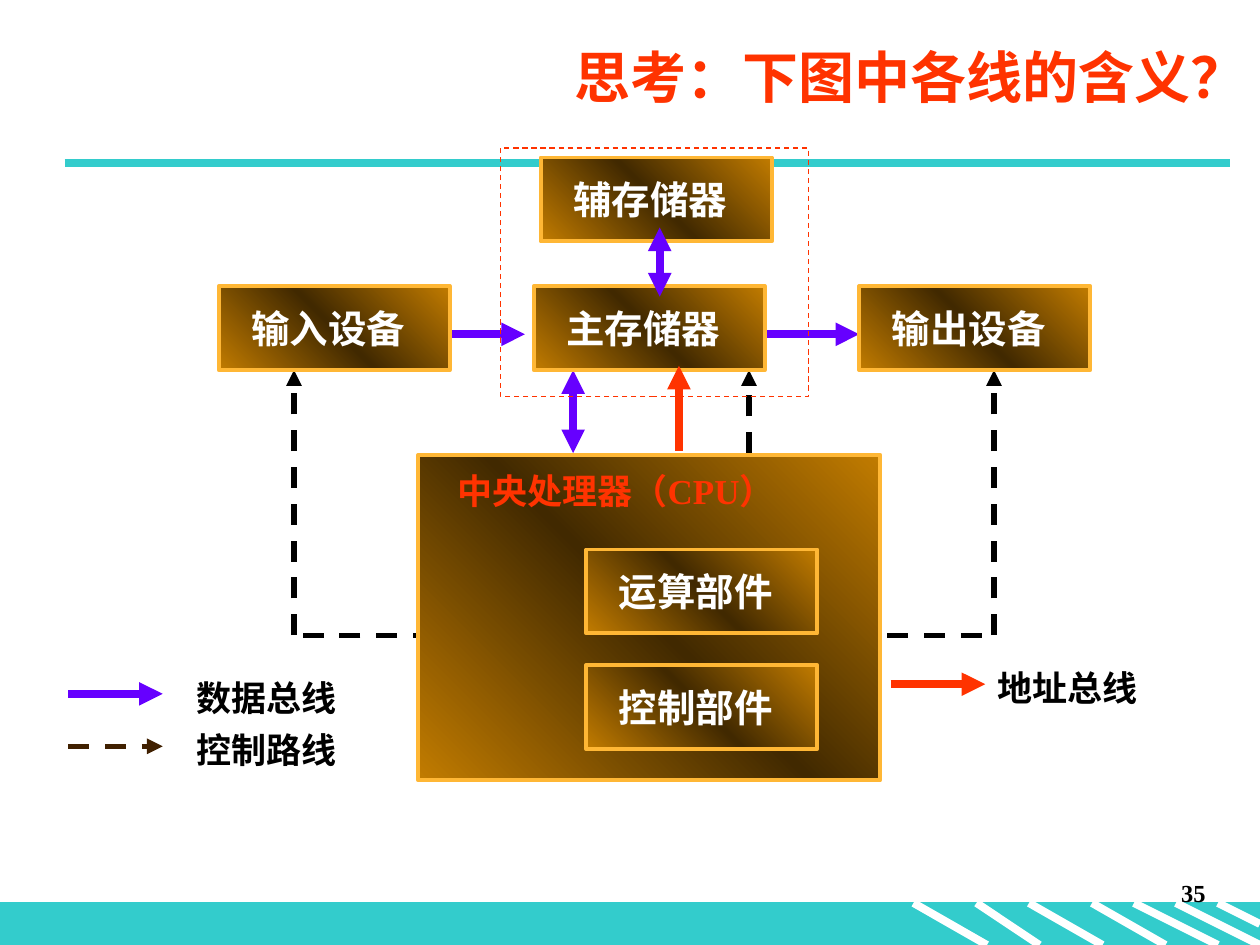
from lxml import etree
from pptx import Presentation
from pptx import util as u
from pptx.dml.color import RGBColor
from pptx.enum import dml, shapes, text
from pptx.oxml import ns

Pt = u.Pt
COLORS = {
    "teal": "33CCCC", "white": "FFFFFF", "black": "000000", "red": "FF3300",
    "data": "6600FF", "brown": "402000", "gold": "FFB735",
    "amber": "C27C00", "umber": "412900",
}
SERIF, SANS = "Times New Roman", "Noto Sans CJK SC"
UNIT_W, UNIT_H = 132, 48


def rgb(name):
    return RGBColor.from_string(COLORS[name])


def add_xml(parent, tag, **attributes):
    return etree.SubElement(parent, ns.qn(tag), **attributes)


def write(frame, words, size=20, color="black", font=SERIF,
          align=text.PP_ALIGN.LEFT, anchor=text.MSO_ANCHOR.TOP):
    frame.word_wrap = True
    frame.vertical_anchor = anchor
    paragraph = frame.paragraphs[0]
    paragraph.alignment = align
    run = paragraph.add_run()
    run.text = words
    run.font.size, run.font.bold, run.font.name = Pt(size), True, font
    run.font.color.rgb = rgb(color)
    add_xml(run.font._element, "a:ea", typeface=SANS)


def add_label(slide, box, words, **style):
    label = slide.shapes.add_textbox(*map(Pt, box))
    write(label.text_frame, words, **style)


def add_line(slide, start, end, color, width=4.5, dashed=False, heads=("tailEnd",)):
    line = slide.shapes.add_connector(
        shapes.MSO_CONNECTOR.STRAIGHT, *map(Pt, (*start, *end)))
    line.line.color.rgb = rgb(color)
    line.line.width = Pt(width)
    if dashed:
        line.line.dash_style = dml.MSO_LINE.DASH
    for head in heads:
        add_xml(line.line._get_or_add_ln(), f"a:{head}", type="triangle")
    add_xml(line._element.spPr, "a:effectLst")


def add_rect(slide, box, line_color, line_width):
    rect = slide.shapes.add_shape(shapes.MSO_SHAPE.RECTANGLE, *map(Pt, box))
    rect.shadow.inherit = False
    rect.line.color.rgb = rgb(line_color)
    rect.line.width = Pt(line_width)
    return rect


def add_panel(slide, box):
    """Gold-edged box with an amber, umber, amber gradient."""
    panel = add_rect(slide, box, "gold", 2.25)
    panel.fill.gradient()
    panel.fill.gradient_angle = 45
    stops = panel._element.spPr.find(ns.qn("a:gradFill")).find(ns.qn("a:gsLst"))
    for stop in list(stops):
        stops.remove(stop)
    for position, color in ((0, "amber"), (50000, "umber"), (100000, "amber")):
        stop = add_xml(stops, "a:gs", pos=str(position))
        add_xml(stop, "a:srgbClr", val=COLORS[color])
    return panel


def add_unit(slide, left, top, words):
    frame = add_panel(slide, (left, top, UNIT_W, UNIT_H)).text_frame
    frame.margin_left, frame.margin_right = Pt(7), Pt(14)
    write(frame, words, size=22, color="white",
          align=text.PP_ALIGN.CENTER, anchor=text.MSO_ANCHOR.MIDDLE)


def add_header(slide, left, top, width, height):
    title = slide.shapes.title
    title.left, title.top, title.width, title.height = map(Pt, (left, top, width, height))
    write(title.text_frame, "思考：下图中各线的含义？", size=32, color="red",
          align=text.PP_ALIGN.RIGHT, anchor=text.MSO_ANCHOR.MIDDLE)
    rule_y = top + height + 21
    add_line(slide, (left - 71, rule_y), (left + 595, rule_y), "teal", heads=())


def add_footer(slide, left, top, width, height):
    band = add_rect(slide, (left, top, width, height), "teal", 0.75)
    band.fill.solid()
    band.fill.fore_color.rgb = rgb("teal")
    # Slanted stripes: start, run, drop
    for start, run, drop in ((522, 42, 24), (558, 36, 24), (588, 42, 24), (624, 42, 24),
                             (648, 48, 24), (672, 48, 24), (696, 24, 12)):
        add_line(slide, (left + start, top), (left + start + run, top + drop),
                 "white", heads=())
    add_label(slide, (left + 546, top - 18, 150, 36), "35", size=14,
              align=text.PP_ALIGN.RIGHT)


def add_cpu(slide, left, top, width, height):
    add_panel(slide, (left, top, width, height))
    add_label(slide, (left + 12, top + 5, 202, 31), "中央处理器（CPU）",
              color="red", align=text.PP_ALIGN.CENTER)
    for row, words in enumerate(("运算部件", "控制部件")):
        add_unit(slide, left + 96, top + 54 + 66 * row, words)


def add_diagram(slide, left, top):
    def at(x, y):
        return left + x, top + y

    both = ("headEnd", "tailEnd")
    device_y, cpu_y, control_y = 79, 175.5, 278.5
    device_bottom = device_y + UNIT_H
    data_y = device_y + 27.5
    # Data bus between devices and main memory
    add_line(slide, at(132, data_y), at(175, data_y), "data")
    add_line(slide, at(311, data_y), at(366, data_y), "data")
    # Control routes from the CPU to both devices
    for cpu_x, device_x in ((123, 43), (382, 443)):
        add_line(slide, at(cpu_x, control_y), at(device_x, control_y), "black",
                 width=3, dashed=True, heads=())
        add_line(slide, at(device_x, control_y), at(device_x, device_bottom), "black",
                 width=3, dashed=True)
    # CPU to main memory: data and control
    add_line(slide, at(202.5, cpu_y - 1), at(202.5, device_bottom), "data", heads=both)
    add_line(slide, at(303, cpu_y - 1), at(303, device_bottom), "black",
             width=3, dashed=True)
    # Devices, memories and CPU
    for x, words in ((0, "输入设备"), (366, "输出设备"), (180, "主存储器")):
        add_unit(slide, *at(x, device_y), words)
    add_cpu(slide, *at(114, cpu_y), 264, 186)
    add_unit(slide, *at(184, 5.5), "辅存储器")
    # Address bus, memory link and memory frame
    add_line(slide, at(263, 173), at(263, 124.5), "red")
    add_line(slide, at(252, 85), at(252, 45.5), "data", heads=both)
    frame = add_rect(slide, (*at(161, 0), 176, 142), "red", 0.75)
    frame.fill.background()
    frame.line.dash_style = dml.MSO_LINE.DASH


def add_key(slide, left, top, words, color, label_gap, width=4.5, dashed=False):
    add_line(slide, (left, top), (left + 54, top), color, width=width, dashed=dashed)
    add_label(slide, (left + 54 + label_gap, top - 13.5, 140, 31), words, font=SANS)


def main():
    deck = Presentation()
    deck.slide_width, deck.slide_height = Pt(720), Pt(540)
    slide = deck.slides.add_slide(deck.slide_layouts[5])
    add_footer(slide, 0, 516, 720, 24)
    add_header(slide, 108, 15, 612, 57)
    add_diagram(slide, 125, 84.5)
    # Legend
    add_key(slide, 39, 396.5, "数据总线", "data", 12)
    add_key(slide, 39, 426.5, "控制路线", "brown", 12, width=3, dashed=True)
    add_key(slide, 509, 391, "地址总线", "red", 0)
    deck.save("out.pptx")


if __name__ == "__main__":
    main()
